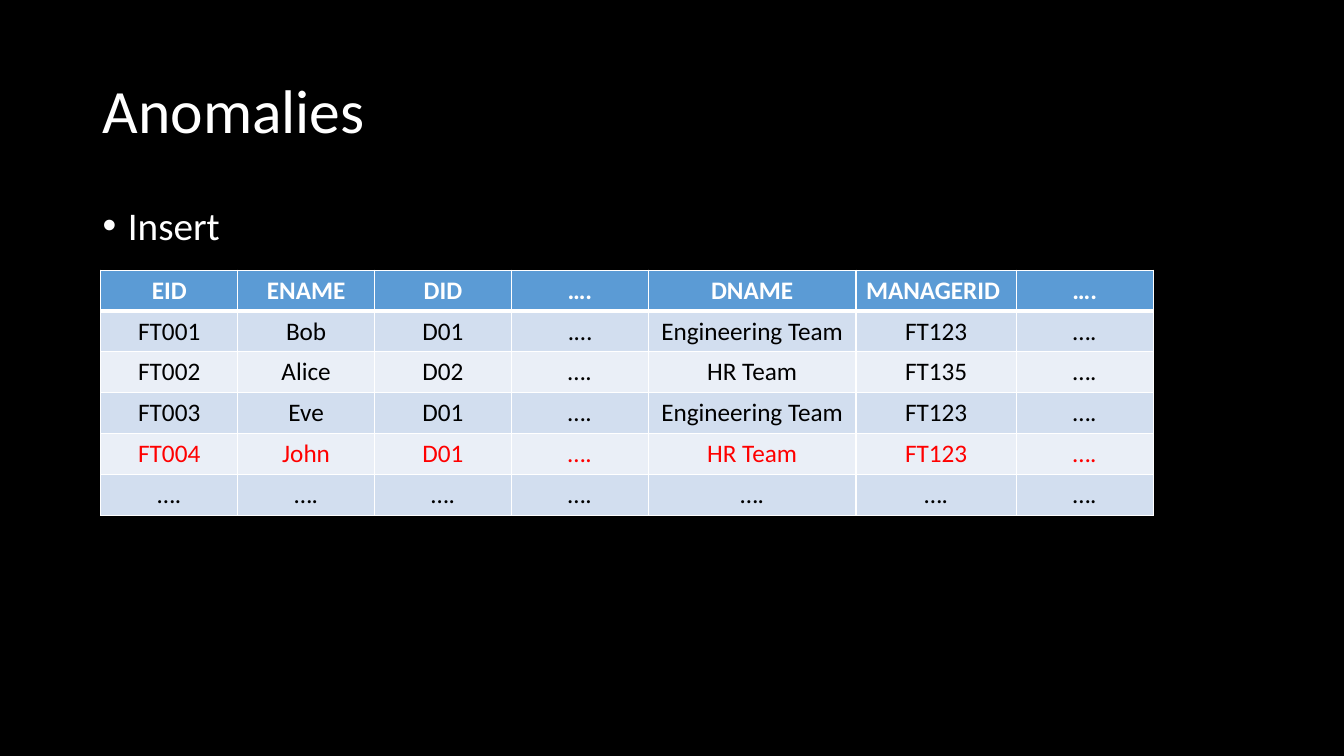
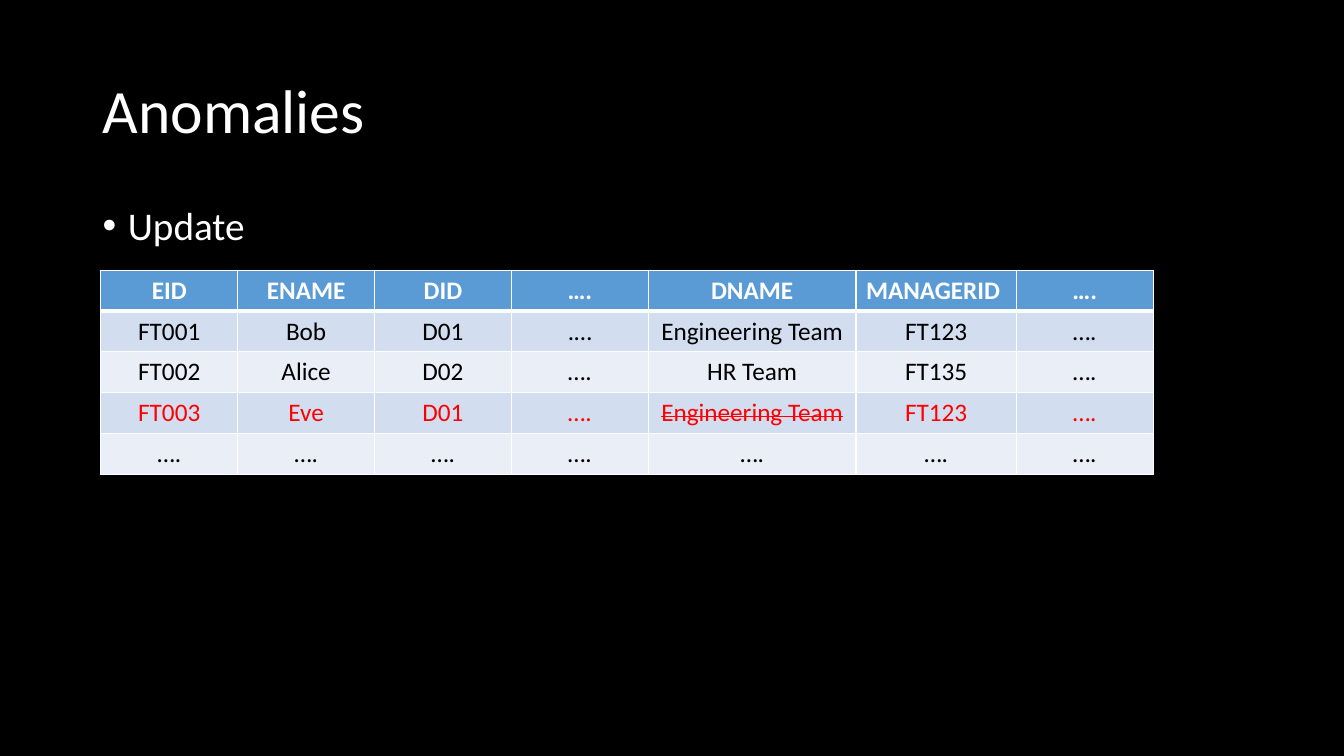
"""Build two slides showing insert and update anomalies in joined tables."""
import lxml.etree
import pptx
import pptx.dml.color
import pptx.enum.text
import pptx.oxml.ns
import pptx.util

TITLE = "Anomalies"
DOTS = "…."
EMPLOYEE_HEADER = ("EID", "ENAME", "DID", DOTS)
DEPARTMENT_HEADER = ("DNAME", "MANAGERID", DOTS)
BOB = (("FT001", "Bob", "D01", ".…"), ("Engineering Team", "FT123", DOTS))
ALICE = (("FT002", "Alice", "D02", DOTS), ("HR Team", "FT135", DOTS))
EVE = (("FT003", "Eve", "D01", DOTS), ("Engineering Team", "FT123", DOTS))
JOHN = (("FT004", "John", "D01", DOTS), ("HR Team", "FT123", DOTS))
MORE = ((DOTS,) * 4, (DOTS,) * 3)
HEADERS = (EMPLOYEE_HEADER, DEPARTMENT_HEADER)

SLIDES = [
    {"topic": "Insert", "records": (BOB, ALICE, EVE, JOHN, MORE),
     "changed": JOHN, "struck": None},
    {"topic": "Update", "records": (BOB, ALICE, EVE, MORE),
     "changed": EVE, "struck": "Engineering Team"},
]

FONT = "Calibri"
BLACK, WHITE, RED = "000000", "FFFFFF", "FF0000"
HEADER_FILL, BAND_FILLS = "5B9BD5", ("D2DEEF", "EAEFF7")
SLIDE_SIZE = (13.33, 7.5)
TITLE_BOX = (0.92, 0.4, 11.5, 1.45)
TOPIC_BOX = (0.92, 2, 11.5, 4.76)
TABLE_LEFT, TABLE_TOP = 1, 2.68
NARROW = 5.43 / 4
COLUMN_WIDTHS = ((NARROW,) * 4, (2.06, 1.59, NARROW))
ROW_HEIGHT = pptx.util.Pt(29.2)
THIN, THICK = 1, 3

Inches = pptx.util.Inches
ALIGN = pptx.enum.text.PP_ALIGN
ANCHOR = pptx.enum.text.MSO_ANCHOR


def color(value):
    """Turn a hex string into a colour."""
    return pptx.dml.color.RGBColor.from_string(value)


def add_element(parent, tag, **attributes):
    """Append a drawing element with the given attributes."""
    return lxml.etree.SubElement(parent, pptx.oxml.ns.qn(tag), attributes)


def style_font(font, size, font_color, bold=False):
    """Set the face, size, colour and weight of a font."""
    font.name = FONT
    font.size = pptx.util.Pt(size)
    font.bold = bold
    font.color.rgb = color(font_color)


def add_text(slide, box, text, size, anchor):
    """Add a wrapped text box and return its paragraph."""
    shape = slide.shapes.add_textbox(*map(Inches, box))
    shape.text_frame.word_wrap = True
    shape.text_frame.vertical_anchor = anchor
    paragraph = shape.text_frame.paragraphs[0]
    paragraph.text = text
    paragraph.line_spacing = 0.9
    style_font(paragraph.font, size, WHITE)
    return paragraph


def add_bullet(paragraph):
    """Give a paragraph a hanging round bullet."""
    paragraph.space_before = pptx.util.Pt(10)
    properties = paragraph._p.get_or_add_pPr()
    indent = Inches(0.25)
    properties.set("marL", str(indent))
    properties.set("indent", str(-indent))
    bullet_font = lxml.etree.Element(pptx.oxml.ns.qn("a:buFont"), typeface="Arial")
    bullet = lxml.etree.Element(pptx.oxml.ns.qn("a:buChar"), char="•")
    defaults = properties.find(pptx.oxml.ns.qn("a:defRPr"))
    defaults.addprevious(bullet_font)
    defaults.addprevious(bullet)


def style_cell(cell, fill, top, bottom):
    """Draw the white borders of a cell and fill it."""
    properties = cell._tc.get_or_add_tcPr()
    for side, width in (("L", THIN), ("R", THIN), ("T", top), ("B", bottom)):
        line = add_element(properties, f"a:ln{side}", w=str(pptx.util.Pt(width)))
        add_element(add_element(line, "a:solidFill"), "a:srgbClr", val=WHITE)
    cell.fill.solid()
    cell.fill.fore_color.rgb = color(fill)


def add_record_table(slide, left, widths, rows, changed, struck):
    """Add a banded table with its changed row in red."""
    frame = slide.shapes.add_table(
        len(rows), len(widths), Inches(left), Inches(TABLE_TOP),
        Inches(sum(widths)), ROW_HEIGHT * len(rows))
    table = frame.table
    for column, width in zip(table.columns, widths):
        column.width = Inches(width)
    for row_index, values in enumerate(rows):
        table.rows[row_index].height = ROW_HEIGHT
        header = row_index == 0
        is_changed = row_index == changed
        fill = HEADER_FILL if header else BAND_FILLS[(row_index - 1) % 2]
        text_color = WHITE if header else RED if is_changed else BLACK
        for column_index, value in enumerate(values):
            cell = table.cell(row_index, column_index)
            style_cell(cell, fill, THICK if row_index == 1 else THIN,
                       THICK if header else THIN)
            paragraph = cell.text_frame.paragraphs[0]
            paragraph.alignment = ALIGN.LEFT if value == "MANAGERID" else ALIGN.CENTER
            run = paragraph.add_run()
            run.text = value
            style_font(paragraph.font, 18, text_color, header)
            if is_changed and value == struck:
                run._r.get_or_add_rPr().set("strike", "sngStrike")


def add_anomaly_slide(presentation, topic, records, changed, struck):
    """Add one slide with its title, topic and two joined tables."""
    slide = presentation.slides.add_slide(presentation.slide_layouts[6])
    add_text(slide, TITLE_BOX, TITLE, 44, ANCHOR.MIDDLE)
    add_bullet(add_text(slide, TOPIC_BOX, topic, 28, ANCHOR.TOP))
    left = TABLE_LEFT
    changed_row = records.index(changed) + 1
    for widths, rows in zip(COLUMN_WIDTHS, zip(HEADERS, *records)):
        add_record_table(slide, left, widths, rows, changed_row, struck)
        left += sum(widths)


def main():
    """Build and save the presentation."""
    presentation = pptx.Presentation()
    presentation.slide_width, presentation.slide_height = map(Inches, SLIDE_SIZE)
    background = presentation.slide_master.background.fill
    background.solid()
    background.fore_color.rgb = color(BLACK)
    for content in SLIDES:
        add_anomaly_slide(presentation, **content)
    presentation.save("out.pptx")


if __name__ == "__main__":
    main()
